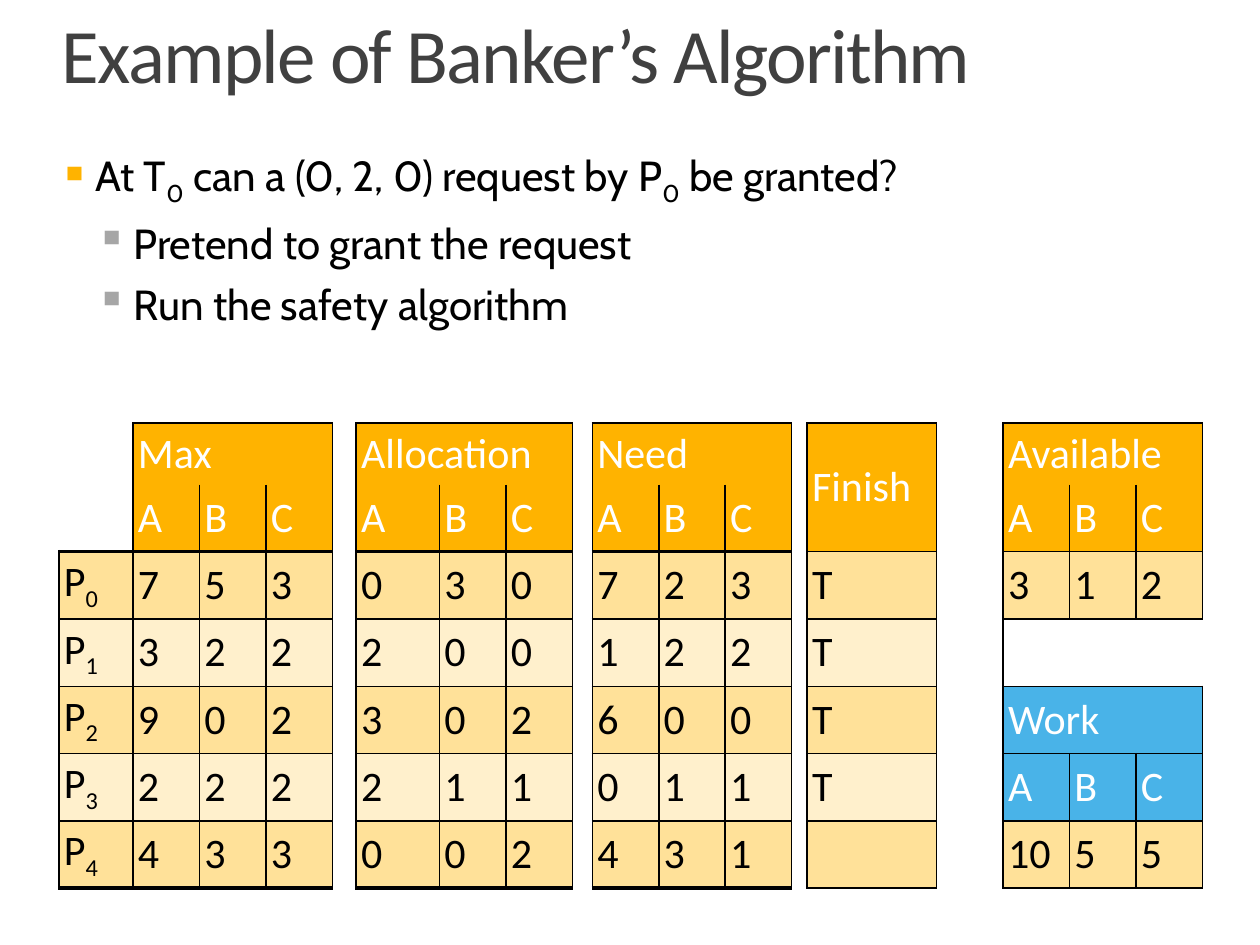
"""Build the slide on the Banker's Algorithm safety check."""
from collections import defaultdict
from pptx import Presentation
from pptx.dml.color import RGBColor
from pptx.enum.text import MSO_ANCHOR
from pptx.oxml.ns import qn
from pptx.util import Cm, Pt
from lxml.etree import SubElement

GOLD = RGBColor(0xFF, 0xB3, 0x00)
BLUE = RGBColor(0x49, 0xB3, 0xE8)
SAND = RGBColor(0xFF, 0xE1, 0x99)
CREAM = RGBColor(0xFF, 0xF0, 0xCC)
WHITE = RGBColor(0xFF, 0xFF, 0xFF)
BLACK = RGBColor(0, 0, 0)
GREY = RGBColor(0x40, 0x40, 0x40)
SILVER = RGBColor(0xA6, 0xA6, 0xA6)


def write(para, text, face, size, tint):
    """Add runs to a paragraph; every second part between underscores is a subscript."""
    for num, part in enumerate(text.split("_")):
        if part:
            run = para.add_run()
            run.text = part
            run.font.name = face
            run.font.size = Pt(size)
            run.font.color.rgb = tint
            if num % 2:
                run.font._element.set("baseline", "-25000")


def frame(slide, left, top, width, height):
    """Add a wrapping text box without insets."""
    body = slide.shapes.add_textbox(Cm(left), Cm(top), Cm(width), Cm(height)).text_frame
    body.word_wrap = True
    body.margin_left = body.margin_right = body.margin_top = body.margin_bottom = 0
    return body


deck = Presentation()
deck.slide_width, deck.slide_height = Cm(25.4), Cm(19.05)
slide = deck.slides.add_slide(deck.slide_layouts[6])

title = frame(slide, 0, 0, 25.4, 1.98)
title.margin_top = Cm(0.1)
title.vertical_anchor = MSO_ANCHOR.BOTTOM
para = title.paragraphs[0]
para.line_spacing = 0.8
para._p.get_or_add_pPr().set("marL", str(Cm(1.25)))
write(para, "Example of Banker’s Algorithm", "Calibri", 44, GREY)
para.runs[0].font._element.set("spc", "-100")

ABC = 1.34
widths = [1.49, ABC, ABC, ABC, 0.48, 1.68, ABC, ABC, 0.4, ABC, ABC, ABC,
          0.31, 2.61, ABC, ABC, ABC, ABC]
heights = [1.24] + [1.35] * 6
table = slide.shapes.add_table(len(heights), len(widths), Cm(1.19), Cm(8.53),
                               Cm(sum(widths)), Cm(sum(heights))).table
style = table._tbl.tblPr.find(qn("a:tableStyleId"))
style.text = "{2D5ABB26-0587-4C30-8999-92F81FD0307C}"
table.first_row = table.horz_banding = False
for col, width in zip(table.columns, widths):
    col.width = Cm(width)
for row, height in zip(table.rows, heights):
    row.height = Cm(height)

blocks = [
    (0, 0, "", GOLD, ["P_0", "P_1", "P_2", "P_3", "P_4"]),
    (1, 0, "Max", GOLD, ["753", "322", "902", "222", "433"]),
    (5, 0, "Allocation", GOLD, ["030", "200", "302", "211", "002"]),
    (9, 0, "Need", GOLD, ["723", "122", "600", "011", "431"]),
    (13, 0, "Finish", GOLD, ["T", "T", "T", "T", ""]),
    (15, 0, "Available", GOLD, ["312"]),
    (15, 4, "Work", BLUE, [["10", "5", "5"]]),
]
cells = {}
lines = defaultdict(dict)
near = {"L": (0, -1, "R"), "R": (0, 1, "L"), "T": (-1, 0, "B"), "B": (1, 0, "T")}
for left, top, name, fill, data in blocks:
    span = 1 if left in (0, 13) else 3
    grid = [(top + 2 + num, list(vals) if span == 3 else [vals], "LRTB")
            for num, vals in enumerate(data)]
    if name:
        heads = ["A", "B", "C"] if span == 3 else [""]
        grid += [(top, [name] + [""] * (span - 1), "LRT"), (top + 1, heads, "LRB")]
        last = table.cell(top, left + 2) if span == 3 else table.cell(top + 1, left)
        table.cell(top, left).merge(last)
    for row, texts, sides in grid:
        head = row < top + 2
        for step, text in enumerate(texts):
            col = left + step
            shade = fill if head else (CREAM if row % 2 else SAND)
            cells[row, col] = text, shade, WHITE if head else BLACK
            for side in sides:
                inner = row == top and (side == "L" and step or side == "R" and step < span - 1)
                if head and inner:
                    continue
                thick = col < 12 and (row, side) in ((1, "B"), (2, "T"), (6, "B"))
                size = 2.25 if thick else 1
                down, over, other = near[side]
                lines[row, col][side] = size
                lines[row + down, col + over][other] = size
    if name and span == 3:
        lines[top, left]["R"] = 1

for row in range(len(heights)):
    for col in range(len(widths)):
        cell = table.cell(row, col)
        cell.margin_left = cell.margin_right = Cm(0.1)
        cell.margin_top = cell.margin_bottom = Cm(0.1)
        cell.vertical_anchor = MSO_ANCHOR.MIDDLE
        props = cell._tc.get_or_add_tcPr()
        for side in "LRTB":
            if side in lines[row, col]:
                edge = SubElement(props, qn("a:ln" + side), w=str(Pt(lines[row, col][side])))
                SubElement(SubElement(edge, qn("a:solidFill")), qn("a:srgbClr"), val=str(BLACK))
        if (row, col) in cells:
            text, shade, tint = cells[row, col]
            cell.fill.solid()
            cell.fill.fore_color.rgb = shade
            write(cell.text_frame.paragraphs[0], text, "Calibri", 24, tint)
        else:
            cell.fill.background()

body = frame(slide, 1.19, 3.02, 23.01, 7.01)
points = [
    (0, 0.74, 18, GOLD, "At T_0_ can a (0, 2, 0) request by P_0_ be granted?"),
    (1, 1.5, 6, SILVER, "Pretend to grant the request"),
    (1, 1.5, 6, SILVER, "Run the safety algorithm"),
]
for num, (level, dent, gap, mark, text) in enumerate(points):
    para = body.add_paragraph() if num else body.paragraphs[0]
    para.level = level
    para.space_before = Pt(gap)
    props = para._p.get_or_add_pPr()
    props.set("marL", str(Cm(dent)))
    props.set("indent", str(Cm(-0.75 if level else -0.74)))
    SubElement(SubElement(props, qn("a:buClr")), qn("a:srgbClr"), val=str(mark))
    SubElement(props, qn("a:buChar"), char="▪")
    write(para, text, "Cabin", 24, BLACK)

deck.save("out.pptx")
